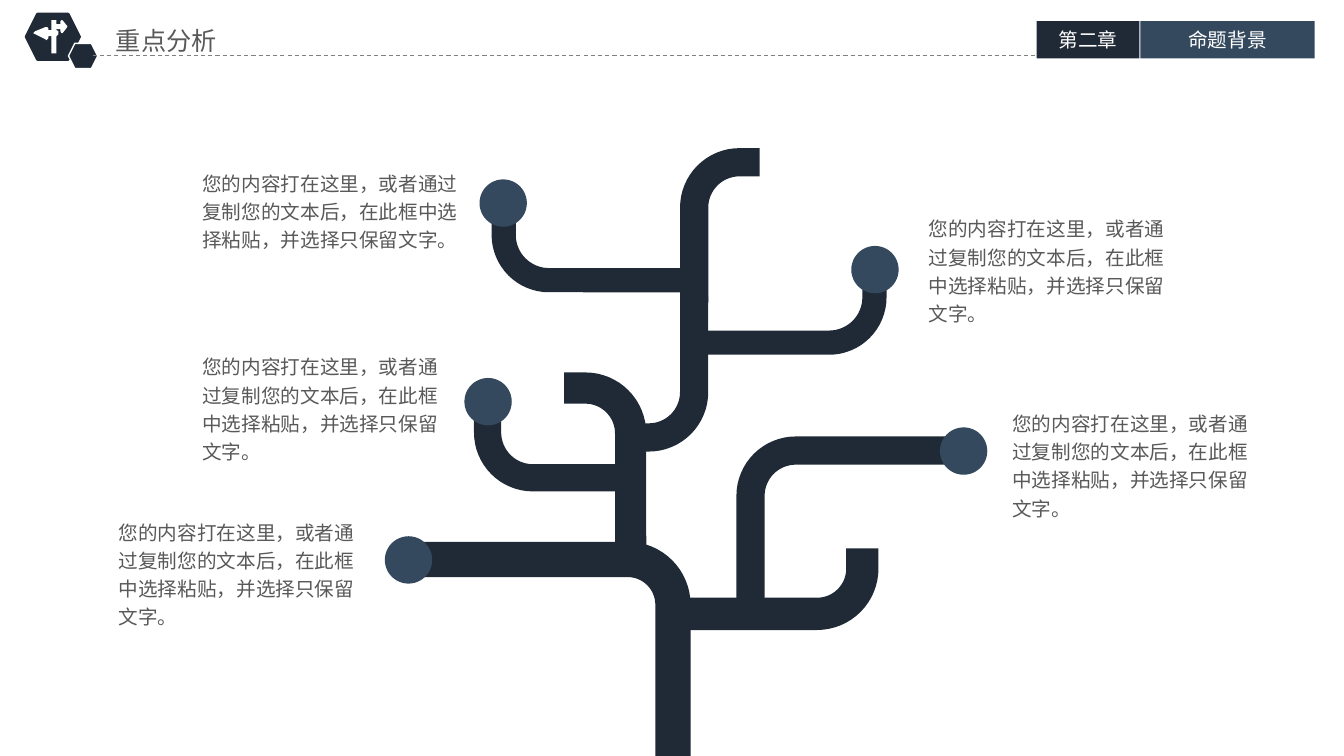
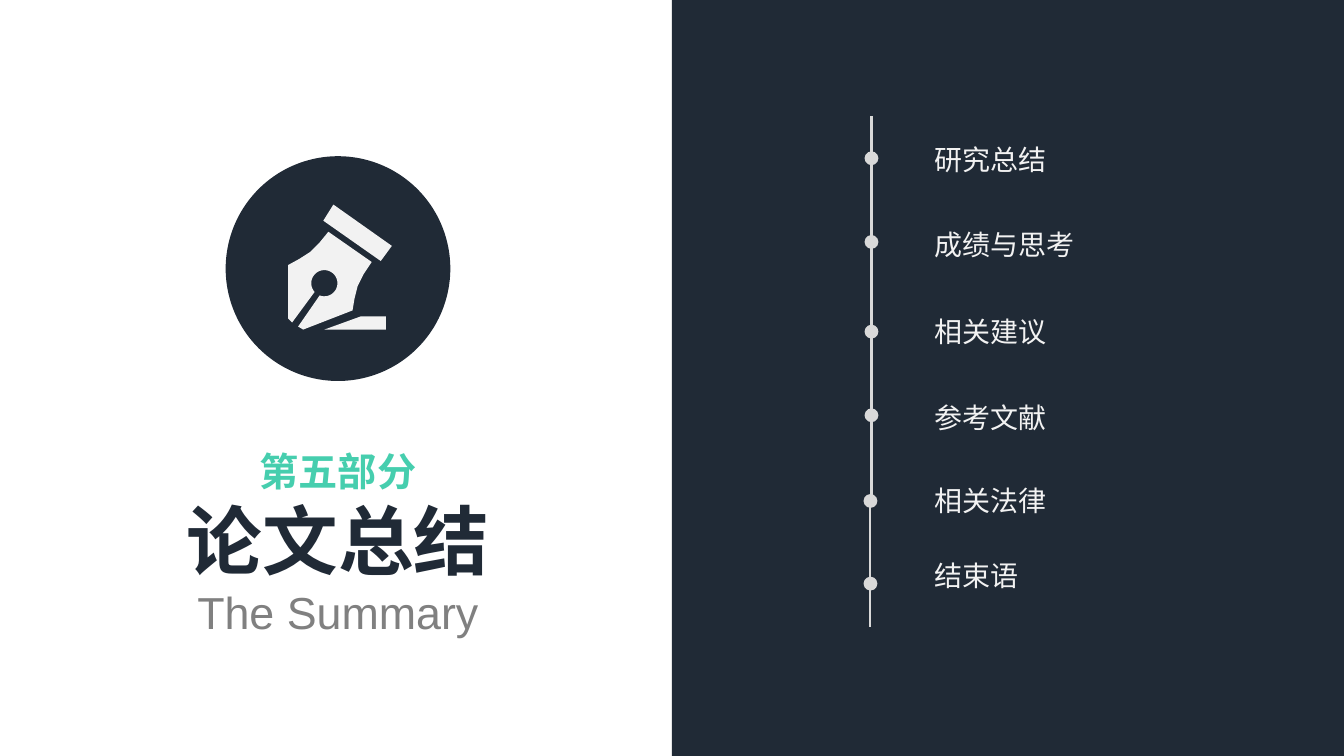
"""Build a branching-tree analysis slide and a closing section slide."""
from dataclasses import dataclass
from math import cos, pi, radians, sin

from lxml import etree
from pptx import Presentation
from pptx.dml.color import RGBColor
from pptx.enum.dml import MSO_LINE
from pptx.enum.shapes import MSO_CONNECTOR, MSO_SHAPE
from pptx.enum.text import MSO_ANCHOR, MSO_AUTO_SIZE, PP_ALIGN
from pptx.oxml.ns import qn
from pptx.util import Inches, Pt

HEXAGON, OVAL, RECT = MSO_SHAPE.HEXAGON, MSO_SHAPE.OVAL, MSO_SHAPE.RECTANGLE
STRAIGHT, DASH = MSO_CONNECTOR.STRAIGHT, MSO_LINE.DASH
LEFT, CENTER = PP_ALIGN.LEFT, PP_ALIGN.CENTER
TOP, MIDDLE = MSO_ANCHOR.TOP, MSO_ANCHOR.MIDDLE
NO_FIT = MSO_AUTO_SIZE.NONE


@dataclass(frozen=True)
class Theme:
    dark: str = "202A36"
    blue: str = "34495E"
    white: str = "FFFFFF"
    pale: str = "F2F2F2"
    rule: str = "D9D9D9"
    gray: str = "808080"
    body: str = "595959"
    accent: str = "46CEAE"
    cjk: str = "Noto Sans CJK SC"
    latin: str = "Arial"
    small: int = 14
    heading: int = 18
    item: int = 20
    chapter: int = 28
    subtitle: int = 32
    display: int = 54


T = Theme()


def draw(shapes, fill, kind=None, box=None, contours=None, line=None, width=1):
    if contours:
        outlines = [[(Inches(x), Inches(y)) for x, y in c] for c in contours]
        fb = shapes.build_freeform(*outlines[0][0], scale=1.0)
        for i, pts in enumerate(outlines):
            if i:
                fb.move_to(*pts[0])
            fb.add_line_segments(pts[1:], close=True)
        sp = fb.convert_to_shape()
    else:
        sp = shapes.add_shape(kind, *map(Inches, box))
    sp.shadow.inherit = False
    sp.fill.solid()
    sp.fill.fore_color.rgb = RGBColor.from_string(fill)
    if line:
        sp.line.color.rgb = RGBColor.from_string(line)
        sp.line.width = Pt(width)
    else:
        sp.line.fill.background()
    return sp


def write(sp, lines, box=None, align=LEFT, anchor=TOP, wrap=True, inset=(0.1, 0.05), spacing=1.0):
    if box:
        sp.left, sp.top, sp.width, sp.height = map(Inches, box)
    tf = sp.text_frame
    dx, dy = map(Inches, inset)
    frame = dict(auto_size=NO_FIT, word_wrap=wrap, vertical_anchor=anchor,
                 margin_left=dx, margin_right=dx, margin_top=dy, margin_bottom=dy)
    for key, value in frame.items():
        setattr(tf, key, value)
    for i, (text, size, color, name, bold) in enumerate(lines):
        p = tf.add_paragraph() if i else tf.paragraphs[0]
        p.alignment, p.line_spacing = align, spacing
        r = p.add_run()
        r.text = text
        for key, value in dict(size=Pt(size), name=name, bold=bold).items():
            setattr(r.font, key, value)
        r.font.color.rgb = RGBColor.from_string(color)
        etree.SubElement(r._r.get_or_add_rPr(), qn("a:ea"), typeface=name)


prs = Presentation()
prs.slide_width, prs.slide_height = Inches(13.34), Inches(7.5)
title_only = prs.slide_layouts[5]
tight = (0.07, 0.04)

s = prs.slides.add_slide(title_only)
write(s.shapes.title, [("重点分析", T.heading, T.body, T.cjk, False)],
      (1.08, 0.21, 2.05, 0.38), inset=tight)
draw(s.shapes, T.dark, HEXAGON, (0.26, 0.14, 0.53, 0.45), line=T.dark, width=2)
rules = [(s, 0.92, 0.55, 10.29, 0.55, T.gray, 0.75, DASH, False)]

for label, left, width, fill in [("第二章", 10.29, 1.02, T.dark), ("命题背景", 11.32, 1.73, T.blue)]:
    tag = draw(s.shapes, fill, RECT, (left, 0.21, width, 0.37))
    write(tag, [(label, T.small, T.white, T.cjk, False)], align=CENTER, anchor=MIDDLE, inset=tight)
draw(s.shapes, T.dark, HEXAGON, (0.68, 0.43, 0.29, 0.25), line=T.white)

signpost = [
    (0.66, 0.25), (0.62, 0.2), (0.61, 0.2), (0.6, 0.21), (0.6, 0.24), (0.56, 0.24),
    (0.56, 0.2), (0.51, 0.2), (0.51, 0.3), (0.48, 0.3), (0.48, 0.28), (0.47, 0.27),
    (0.45, 0.27), (0.35, 0.31), (0.33, 0.33), (0.35, 0.34), (0.45, 0.39), (0.46, 0.4),
    (0.48, 0.38), (0.48, 0.36), (0.51, 0.36), (0.51, 0.53), (0.56, 0.53), (0.56, 0.36),
    (0.58, 0.34), (0.58, 0.31), (0.56, 0.3), (0.56, 0.29), (0.6, 0.29), (0.6, 0.31),
    (0.61, 0.33), (0.62, 0.33), (0.66, 0.28), (0.67, 0.26),
]
draw(s.shapes, T.white, contours=[signpost])

branches = [
    ((6.68, 7.5), (6.68, 5.55), (4.04, 5.55), 0.35),
    ((6.68, 6.09), (8.56, 6.09), (8.56, 5.44), 0.32),
    ((6.94, 3.4), (8.68, 3.4), (8.68, 2.76), 0.24),
    ((6.26, 5.56), (6.26, 3.85), (5.6, 3.85), 0.31),
    ((7.45, 6.14), (7.45, 4.47), (9.58, 4.47), 0.28),
    ((6.85, 2.78), (5, 2.78), (5, 2.14), 0.24),
    ((6.25, 4.74), (4.84, 4.74), (4.84, 4.1), 0.27),
    ((6.25, 4.34), (6.89, 4.34), (6.89, 2.94), 0.28),
    ((6.89, 3), (6.89, 1.61), (7.54, 1.61), 0.28),
]
bend, steps = 0.45, 16
for start, corner, end, thick in branches:
    run_in = abs(corner[0] - start[0] + corner[1] - start[1])
    run_out = abs(end[0] - corner[0] + end[1] - corner[1])
    u = [(c - a) / run_in for a, c in zip(start, corner)]
    v = [(e - c) / run_out for c, e in zip(corner, end)]
    sides = []
    for half in (thick / 2, -thick / 2):
        side = [[a - half * q for a, q in zip(start, v)]]
        for i in range(steps + 1):
            t = pi / 2 * i / steps
            side.append([c + bend * (q - p) + (bend + half) * (p * sin(t) - q * cos(t))
                         for c, p, q in zip(corner, u, v)])
        side.append([e + half * p for e, p in zip(end, u)])
        sides.append(side)
    draw(s.shapes, T.dark, contours=[sides[0] + sides[1][::-1]])

notes = [
    (3.82, 5.32, 1.08, 5.07, 2.65, 1.23),
    (4.61, 3.75, 1.91, 3.43, 2.63, 1.23),
    (9.33, 4.24, 9.95, 3.99, 2.55, 1.23),
    (8.45, 2.44, 9.12, 2.06, 2.61, 1.23),
    (4.76, 1.78, 1.91, 1.61, 2.76, 0.95),
]
note = "您的内容打在这里，或者通过复制您的文本后，在此框中选择粘贴，并选择只保留文字。"
for x, y, *box in notes:
    draw(s.shapes, T.blue, OVAL, (x, y, 0.47, 0.47))
    write(s.shapes.add_textbox(0, 0, 0, 0), [(note, T.small, T.body, T.cjk, False)], box, spacing=1.2)

s = prs.slides.add_slide(title_only)
write(s.shapes.title, [("论文总结", T.display, T.dark, T.cjk, True),
                       ("The Summary", T.subtitle, T.gray, T.latin, False)],
      (1.74, 4.85, 3.23, 1.55), align=CENTER, wrap=False)
write(s.shapes.add_textbox(0, 0, 0, 0), [("第五部分", T.chapter, T.accent, T.cjk, True)],
      (2.47, 4.39, 1.77, 0.57), align=CENTER, wrap=False)

hole = [(3.22 + 0.13 * cos(radians(a)), 2.81 + 0.13 * sin(radians(a))) for a in range(111, -223, -9)]
nib = [(2.9, 3.2), (2.86, 3.16), (2.86, 2.63), (2.97, 2.57), (3.08, 2.5), (3.17, 2.41), (3.26, 2.3),
       (3.69, 2.6), (3.61, 2.72), (3.55, 2.84), (3.52, 2.96), (3.5, 3.08), (3.01, 3.27), (2.96, 3.24)]
stroke = [(3.22, 3.27), (3.83, 3.27), (3.83, 3.14), (3.58, 3.14)]
collar = [(3.78, 2.59), (3.89, 2.44), (3.31, 2.03), (3.21, 2.19)]
badge = s.shapes.add_group_shape()
draw(badge.shapes, T.dark, OVAL, (2.24, 1.55, 2.23, 2.23))
draw(badge.shapes, T.pale, contours=[nib + hole, stroke, collar])
draw(s.shapes, T.dark, RECT, (6.67, 0, 6.67, 7.5))

agenda = [
    ("研究总结", 1.36, 8.65, 2.4, 1.57),
    ("成绩与思考", 2.21, 8.65, 3.23, 2.4),
    ("相关建议", 3.07, 8.65, 4.12, 3.29),
    ("参考文献", 3.92, 8.65, 4.95, 4.12),
    ("相关法律", 4.75, 8.64, 5.88, 4.97),
    ("结束语", 5.49, 8.64, 6.22, 5.79),
]
rules.append((s, 8.65, 1.57, 8.65, 1.15, T.rule, 1.5, None, False))
for label, top, x, low, dot in agenda:
    rules.append((s, x, low, x, dot, T.rule, 1.5, None, True))
    write(s.shapes.add_textbox(0, 0, 0, 0), [(label, T.item, T.pale, T.cjk, False)],
          (9.18, top, 0.2 + 0.28 * len(label), 0.44), wrap=False)

for s, x1, y1, x2, y2, color, width, dash, dotted in rules:
    cn = s.shapes.add_connector(STRAIGHT, *map(Inches, (x1, y1, x2, y2)))
    cn.line.color.rgb = RGBColor.from_string(color)
    cn.line.width = Pt(width)
    if dash:
        cn.line.dash_style = dash
    if dotted:
        etree.SubElement(cn.line._get_or_add_ln(), qn("a:tailEnd"), type="oval", w="lg", len="lg")
    etree.SubElement(cn._element.spPr, qn("a:effectLst"))

prs.save("out.pptx")
